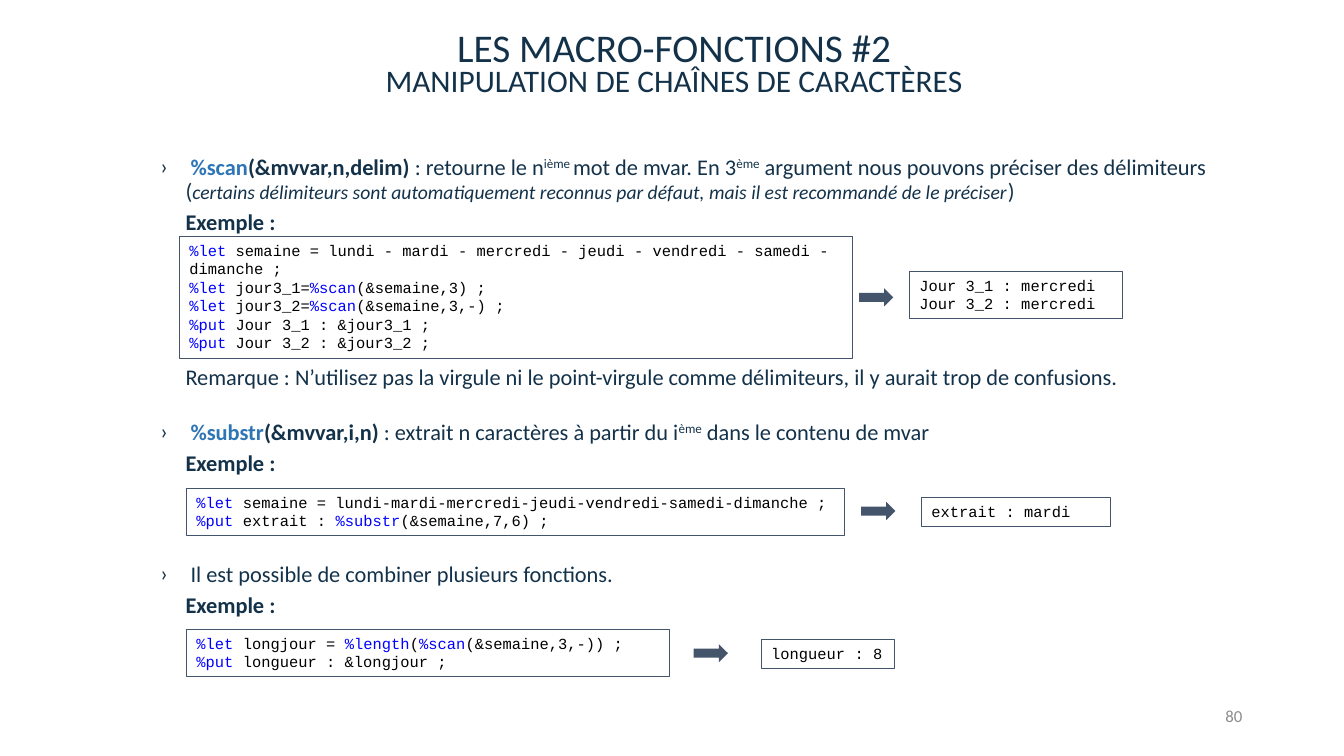
from lxml import etree
from pptx import Presentation
from pptx.dml.color import RGBColor
from pptx.enum import shapes, text
from pptx.oxml import ns
from pptx.util import Inches, Pt

COLORS = {"navy": "13324A", "blue": "2E75B6", "slate": "44546A", "grey": "8C8C8C",
          "keyword": "0000FF", "code": "000000"}


def rgb(name):
    return RGBColor.from_string(COLORS[name])


def style(para, size, color, face="Calibri"):
    """Set the font that all runs of a paragraph share."""
    para.font.name = face
    para.font.size = Pt(size)
    para.font.color.rgb = rgb(color)


deck = Presentation()
deck.slide_width, deck.slide_height = Inches(13.33), Inches(7.5)
page = deck.slides.add_slide(deck.slide_layouts[1])
title, body = page.placeholders

# Headings and page number
subtitle = page.shapes.add_textbox(0, 0, 0, 0)
number = page.shapes.add_textbox(0, 0, 0, 0)
center, right = text.PP_ALIGN.CENTER, text.PP_ALIGN.RIGHT
middle, top = text.MSO_ANCHOR.MIDDLE, text.MSO_ANCHOR.TOP
for box, place, words, size, color, align, anchor in [
    (title, (1.78, 0.23, 9.81, 0.52), "LES MACRO-FONCTIONS #2", 28, "navy", center, middle),
    (subtitle, (1.78, 0.53, 9.81, 0.52), "manipulation de chaînes de caractères",
     28, "navy", center, middle),
    (number, (9.42, 6.97, 3, 0.4), "80", 12, "grey", right, top),
]:
    box.left, box.top, box.width, box.height = map(Inches, place)
    frame = box.text_frame
    frame.word_wrap = True
    frame.auto_size = text.MSO_AUTO_SIZE.NONE
    frame.vertical_anchor = anchor
    para = frame.paragraphs[0]
    para.add_run().text = words
    para.alignment = align
    para.line_spacing = 0.9
    style(para, size, color)
subtitle.text_frame.paragraphs[0].runs[0]._r.get_or_add_rPr().set("cap", "small")

# Explanations: (bulleted, space before in points, [(words, look)])
explanations = [
    (True, 0, [(" ", "bold"), ("%scan", "function"), ("(&mvvar,n,delim)", "bold"),
               (" : retourne le n", ""), ("ième ", "super"), ("mot de mvar. En 3", ""),
               ("ème", "super"), (" argument nous pouvons préciser des délimiteurs (", ""),
               ("certains délimiteurs sont automatiquement reconnus par défaut, "
                "mais il est recommandé de le préciser", "aside"), (")", "")]),
    (False, 5, [("Exemple :", "bold")]),
    (False, 93.5, [("Remarque : N’utilisez pas la virgule ni le point-virgule comme "
                    "délimiteurs, il y aurait trop de confusions.", "")]),
    (True, 21.5, [(" ", "bold"), ("%substr", "function"), ("(&mvvar,i,n) ", "bold"),
                  (": extrait n caractères à partir du i", ""), ("ème", "super"),
                  (" dans le contenu de mvar", "")]),
    (False, 5, [("Exemple :", "bold")]),
    (True, 62, [(" ", "bold"), ("Il est possible de combiner plusieurs fonctions.", "")]),
    (False, 5, [("Exemple :", "bold")]),
]
body.left, body.top, body.width, body.height = map(Inches, (0.99, 1.5, 11.5, 5.51))
frame = body.text_frame
frame.auto_size = text.MSO_AUTO_SIZE.NONE
frame.vertical_anchor = top
for i, (bulleted, gap, pieces) in enumerate(explanations):
    para = frame.add_paragraph() if i else frame.paragraphs[0]
    para.level = 1
    para.line_spacing = 0.9
    para.space_before = Pt(gap)
    props = para._p.get_or_add_pPr()
    props.set("marL", str(Inches(0.75)))
    props.set("indent", str(Inches(-0.25 if bulleted else 0)))
    if bulleted:
        etree.SubElement(props, ns.qn("a:buFont"), typeface="Calibri")
        etree.SubElement(props, ns.qn("a:buChar"), char="›")
    else:
        etree.SubElement(props, ns.qn("a:buNone"))
    style(para, 16, "navy")
    for words, look in pieces:
        span = para.add_run()
        span.text = words
        if look in ("bold", "function"):
            span.font.bold = True
        if look == "function":
            span.font.color.rgb = rgb("blue")
        elif look == "super":
            span._r.get_or_add_rPr().set("baseline", "30000")
        elif look == "aside":
            span.font.italic = True
            span.font.size = Pt(14)

# Code and output boxes; keywords stand between bars
listings = [
    ((1.78, 2.34, 6.67, 1.21), [
        "|%let| semaine = lundi - mardi - mercredi - jeudi - vendredi - samedi - dimanche ;",
        "|%let| jour3_1=|%scan|(&semaine,3) ;",
        "|%let| jour3_2=|%scan|(&semaine,3,-) ;",
        "|%put| Jour 3_1 : &jour3_1 ;",
        "|%put| Jour 3_2 : &jour3_2 ;"]),
    ((9.02, 2.69, 2.11, 0.47), ["Jour 3_1 : mercredi", "Jour 3_2 : mercredi"]),
    ((1.85, 4.84, 6.52, 0.47), [
        "|%let| semaine = lundi-mardi-mercredi-jeudi-vendredi-samedi-dimanche ;",
        "|%put| extrait : |%substr|(&semaine,7,6) ;"]),
    ((9.14, 4.93, 1.87, 0.29), ["extrait : mardi"]),
    ((1.85, 6.24, 4.79, 0.47), [
        "|%let| longjour = |%length|(|%scan|(&semaine,3,-)) ;",
        "|%put| longueur : &longjour ;"]),
    ((7.55, 6.34, 1.32, 0.29), ["longueur : 8"]),
]
for place, lines in listings:
    box = page.shapes.add_shape(shapes.MSO_SHAPE.RECTANGLE, *map(Inches, place))
    box.shadow.inherit = False
    box.fill.background()
    box.line.color.rgb = rgb("slate")
    box.line.width = Pt(0.25)
    frame = box.text_frame
    frame.word_wrap = True
    frame.vertical_anchor = top
    for i, line in enumerate(lines):
        para = frame.add_paragraph() if i else frame.paragraphs[0]
        para.alignment = text.PP_ALIGN.LEFT
        style(para, 11, "code", "Courier New")
        for j, words in enumerate(line.split("|")):
            if words:
                span = para.add_run()
                span.text = words
                span.font.color.rgb = rgb("keyword" if j % 2 else "code")

# Arrows from code to output
for left, upper in [(8.52, 2.86), (8.54, 4.98), (6.88, 6.39)]:
    arrow = page.shapes.add_shape(shapes.MSO_SHAPE.RIGHT_ARROW, Inches(left), Inches(upper),
                                  Inches(0.34), Inches(0.18))
    arrow.shadow.inherit = False
    arrow.fill.solid()
    arrow.fill.fore_color.rgb = rgb("slate")
    arrow.line.fill.background()

deck.save("out.pptx")
